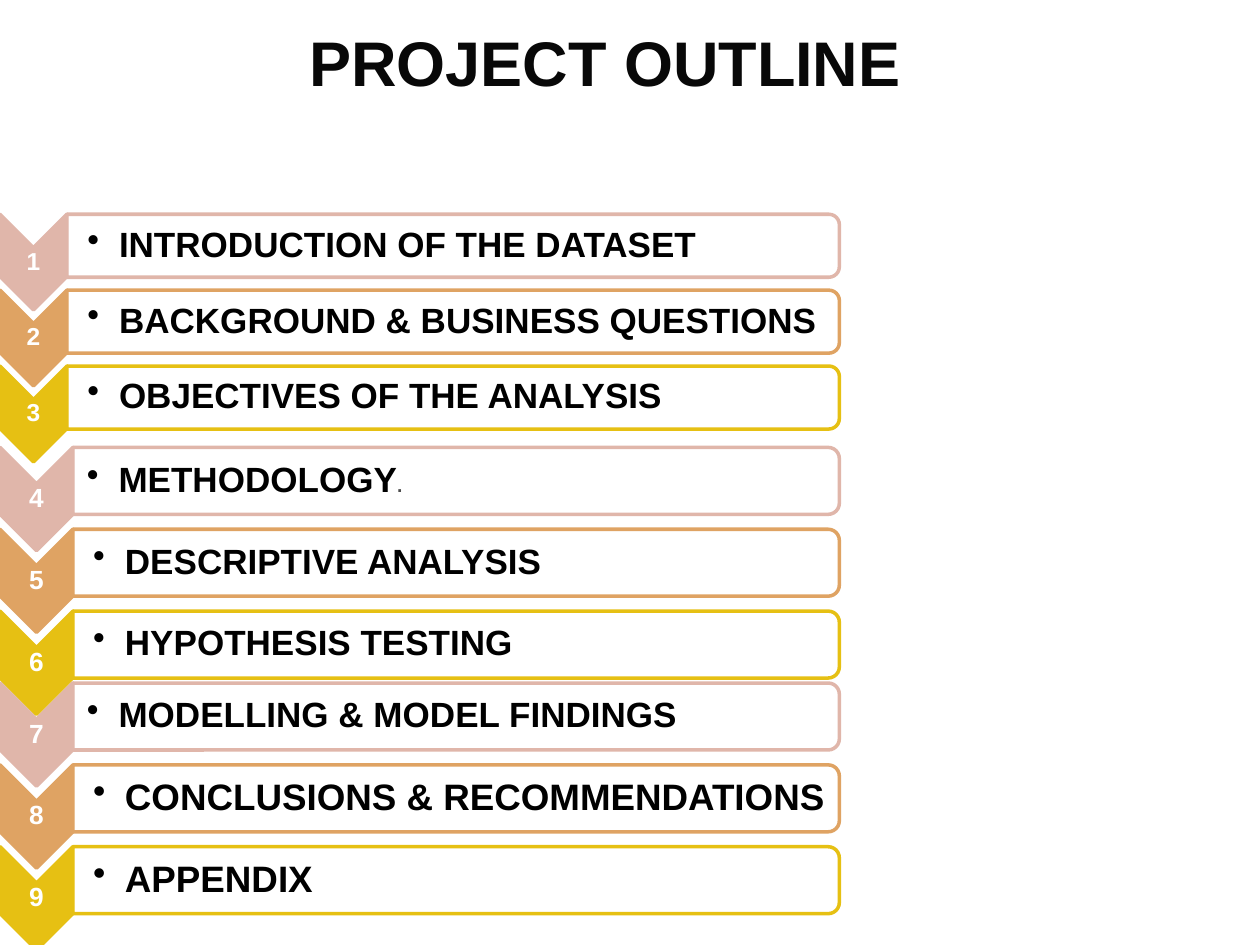
from lxml import etree
from pptx import Presentation
from pptx.dml.color import RGBColor
from pptx.enum.shapes import MSO_SHAPE
from pptx.enum.text import MSO_ANCHOR, PP_ALIGN
from pptx.oxml.ns import qn
from pptx.util import Cm, Pt

CHEVRON = MSO_SHAPE.CHEVRON
ROUNDED_END = MSO_SHAPE.ROUND_2_SAME_RECTANGLE
MIDDLE = MSO_ANCHOR.MIDDLE
CENTER = PP_ALIGN.CENTER
LEFT = PP_ALIGN.LEFT

ROW_COLOURS = ("E0B6AA", "DFA363", "E6C013")
BAR_RIGHT = 16.92
THIN = 0.03    # text inset, cm
INDENT = 0.64  # hanging indent of the bullets, cm

SMALL = {"chevron_w": 1.35, "chevron_h": 1.93, "bar_h": 1.27,
         "pitch": 1.53, "number_size": 14}
LARGE = {"chevron_w": 1.47, "chevron_h": 2.08, "bar_h": 1.35,
         "pitch": 1.65, "number_size": 15}

# Top in cm, row format, rows of (runs of text, size, colour; left inset in cm)
SECTIONS = [
    (4.32, SMALL, [
        ([("INTRODUCTION OF THE DATASET", 20, "000000")], 0.41),
        ([("BACKGROUND & BUSINESS QUESTIONS", 20, "000000")], 0.41),
        ([("OBJECTIVES OF THE ANALYSIS", 20, "000000")], 0.41),
    ]),
    (9.02, LARGE, [
        ([("METHODOLOGY", 20, "000000"), (".", 11, "4D4D4D")], 0.28),
        ([("DESCRIPTIVE ANALYSIS", 20, "000000")], 0.41),
        ([("HYPOTHESIS TESTING", 20, "000000")], 0.41),
    ]),
    (13.77, LARGE, [
        ([("MODELLING & MODEL FINDINGS", 20, "000000")], 0.28),
        ([("CONCLUSIONS & RECOMMENDATIONS", 21, "000000")], 0.41),
        ([("APPENDIX", 21, "000000")], 0.41),
    ]),
]


def rgb(colour):
    return RGBColor.from_string(colour)


def set_all(target, **values):
    for name, value in values.items():
        setattr(target, name, value)


def add_runs(paragraph, runs):
    for text, size, colour in runs:
        run = paragraph.add_run()
        run.text = text
        set_all(run.font, name="Arial", size=Pt(size), bold=True)
        run.font.color.rgb = rgb(colour)


def add_turned(shapes, kind, left, top, width, height, fill, line):
    """Add a shape turned by 90° that covers the given box once turned."""
    shape = shapes.add_shape(
        kind, Cm(left + (width - height) / 2), Cm(top + (height - width) / 2),
        Cm(height), Cm(width))
    shape.rotation = 90
    shape.shadow.inherit = False
    shape.fill.solid()
    shape.fill.fore_color.rgb = rgb(fill)
    shape.line.color.rgb = rgb(line)
    shape.line.width = Pt(2)
    return shape


def add_label(shapes, left, top, width, height, runs, inset=THIN, align=LEFT):
    label = shapes.add_textbox(Cm(left), Cm(top), Cm(width), Cm(height))
    frame = label.text_frame
    set_all(frame, word_wrap=True, vertical_anchor=MIDDLE,
            margin_left=Cm(inset), margin_right=Cm(THIN),
            margin_top=Cm(THIN), margin_bottom=Cm(THIN))
    paragraph = frame.paragraphs[0]
    set_all(paragraph, alignment=align, line_spacing=0.9)
    add_runs(paragraph, runs)
    return paragraph


def add_bullet(paragraph):
    properties = paragraph._p.get_or_add_pPr()
    properties.set("marL", str(Cm(INDENT)))
    properties.set("indent", str(-Cm(INDENT)))
    etree.SubElement(properties, qn("a:buChar")).set("char", "•")


def add_row(shapes, top, sizes, number, topic, inset, colour):
    chevron_w, chevron_h = sizes["chevron_w"], sizes["chevron_h"]
    bar_w, bar_h = BAR_RIGHT - chevron_w, sizes["bar_h"]

    # Numbered chevron
    add_turned(shapes, CHEVRON, 0, top, chevron_w, chevron_h, colour, colour)
    add_label(shapes, 0, top, chevron_w, chevron_h,
              [(str(number), sizes["number_size"], "FFFFFF")], align=CENTER)

    # Bar with the topic
    bar = add_turned(shapes, ROUNDED_END, chevron_w, top, bar_w, bar_h,
                     "FFFFFF", colour)
    bar_colour = bar._element.spPr.find(qn("a:solidFill"))[0]
    etree.SubElement(bar_colour, qn("a:alpha")).set("val", "90000")
    add_bullet(add_label(shapes, chevron_w, top, bar_w, bar_h, topic, inset))


def add_section(slide, top, sizes, rows, first_number):
    shapes = slide.shapes.add_group_shape().shapes
    for i, ((topic, inset), colour) in enumerate(zip(rows, ROW_COLOURS)):
        add_row(shapes, top + i * sizes["pitch"], sizes, first_number + i,
                topic, inset, colour)


def add_title(slide, left, top, width, height):
    title = slide.shapes.title
    set_all(title, left=Cm(left), top=Cm(top),
            width=Cm(width), height=Cm(height))
    title.text_frame.vertical_anchor = MIDDLE
    heading = title.text_frame.paragraphs[0]
    heading.alignment = CENTER
    add_runs(heading, [("PROJECT OUTLINE", 36, "080808")])


def main():
    deck = Presentation()
    set_all(deck, slide_width=Cm(25.4), slide_height=Cm(19.05))
    slide = deck.slides.add_slide(deck.slide_layouts[5])  # title only
    add_title(slide, 1.9, 0.53, 20.6, 1.42)
    number = 1
    for top, sizes, rows in SECTIONS:
        add_section(slide, top, sizes, rows, number)
        number += len(rows)
    deck.save("out.pptx")


if __name__ == "__main__":
    main()
